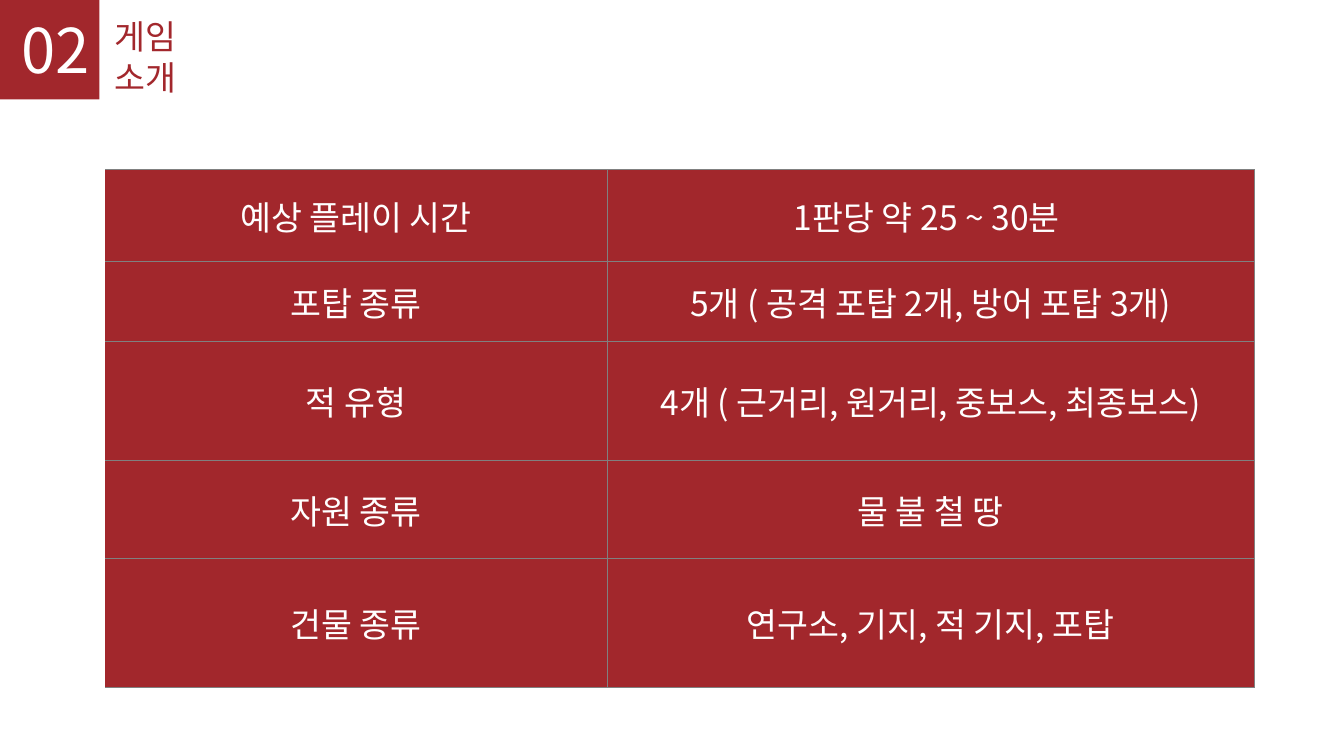
from lxml import etree
from pptx import Presentation
from pptx.dml.color import RGBColor
from pptx.enum.shapes import MSO_SHAPE
from pptx.enum.text import MSO_ANCHOR, PP_ALIGN
from pptx.oxml.ns import qn
from pptx.util import Pt

RECTANGLE = MSO_SHAPE.RECTANGLE
MIDDLE = MSO_ANCHOR.MIDDLE
LEFT, CENTER = PP_ALIGN.LEFT, PP_ALIGN.CENTER

# Content
FONT = "Noto Sans CJK KR"
COLORS = {"red": "A2272C", "white": "FFFFFF", "grey": "808080"}
SECTION_NUMBER = "02"
SECTION_TITLE = "게임 소개"
GAME_FACTS = [
    ("예상 플레이 시간", "1판당 약 25 ~ 30분 "),
    ("포탑 종류", "5개 ( 공격 포탑 2개, 방어 포탑 3개)"),
    ("적 유형", "4개 ( 근거리, 원거리, 중보스, 최종보스)"),
    ("자원 종류", "물 불 철 땅"),
    ("건물 종류", "연구소, 기지, 적 기지, 포탑"),
]

# Layout in points
BADGE_SIZE = 71
NUMBER_BOX = (8, 5, 64, 60.5)
TITLE_BOX = (75, 8, 107, 36)
TABLE_LEFT, TABLE_TOP = 75, 121
COLUMN_WIDTHS = [358.6, 462.2]
ROW_HEIGHTS = [66, 57, 85, 70, 92]
BORDER_WIDTH = 0.5


def rgb(color):
    return RGBColor.from_string(COLORS[color])


def write(frame, text, size, color, align=LEFT):
    paragraph = frame.paragraphs[0]
    paragraph.alignment = align
    run = paragraph.add_run()
    run.text = text
    for name, value in {"size": Pt(size), "name": FONT, "bold": False}.items():
        setattr(run.font, name, value)
    run.font.color.rgb = rgb(color)
    east_asian = etree.SubElement(run.font._element, qn("a:ea"))
    east_asian.set("typeface", FONT)


def set_borders(cell, is_first_column):
    properties = cell._tc.get_or_add_tcPr()
    for position, side in enumerate(("lnL", "lnR", "lnT", "lnB")):
        line = etree.Element(qn(f"a:{side}"), w=str(Pt(BORDER_WIDTH)))
        if side == "lnL" and is_first_column:
            etree.SubElement(line, qn("a:noFill"))
        else:
            fill = etree.SubElement(line, qn("a:solidFill"))
            etree.SubElement(fill, qn("a:srgbClr"), val=COLORS["grey"])
        properties.insert(position, line)


def main():
    deck = Presentation()
    deck.slide_width, deck.slide_height = Pt(960), Pt(540)
    slide = deck.slides.add_slide(deck.slide_layouts[6])

    # Section badge
    badge = slide.shapes.add_shape(RECTANGLE, 0, 0, Pt(BADGE_SIZE), Pt(BADGE_SIZE))
    badge.shadow.inherit = False
    badge.fill.solid()
    badge.fill.fore_color.rgb = rgb("red")
    badge.line.fill.background()

    # Section number on one line, title wrapped beside it
    for box, text, size, color, wraps in (
        (NUMBER_BOX, SECTION_NUMBER, 44, "white", False),
        (TITLE_BOX, SECTION_TITLE, 24, "red", True),
    ):
        frame = slide.shapes.add_textbox(*map(Pt, box)).text_frame
        frame.word_wrap = wraps
        write(frame, text, size, color)

    # Table of game facts
    facts = slide.shapes.add_table(
        len(GAME_FACTS), len(COLUMN_WIDTHS), Pt(TABLE_LEFT), Pt(TABLE_TOP),
        Pt(sum(COLUMN_WIDTHS)), Pt(sum(ROW_HEIGHTS)),
    ).table
    facts.first_row = facts.horz_banding = False
    for column, width in zip(facts.columns, COLUMN_WIDTHS):
        column.width = Pt(width)
    for row, height, texts in zip(facts.rows, ROW_HEIGHTS, GAME_FACTS):
        row.height = Pt(height)
        for index, (cell, text) in enumerate(zip(row.cells, texts)):
            cell.vertical_anchor = MIDDLE
            cell.fill.solid()
            cell.fill.fore_color.rgb = rgb("red")
            write(cell.text_frame, text, 24, "white", CENTER)
            set_borders(cell, index == 0)

    deck.save("out.pptx")


if __name__ == "__main__":
    main()
